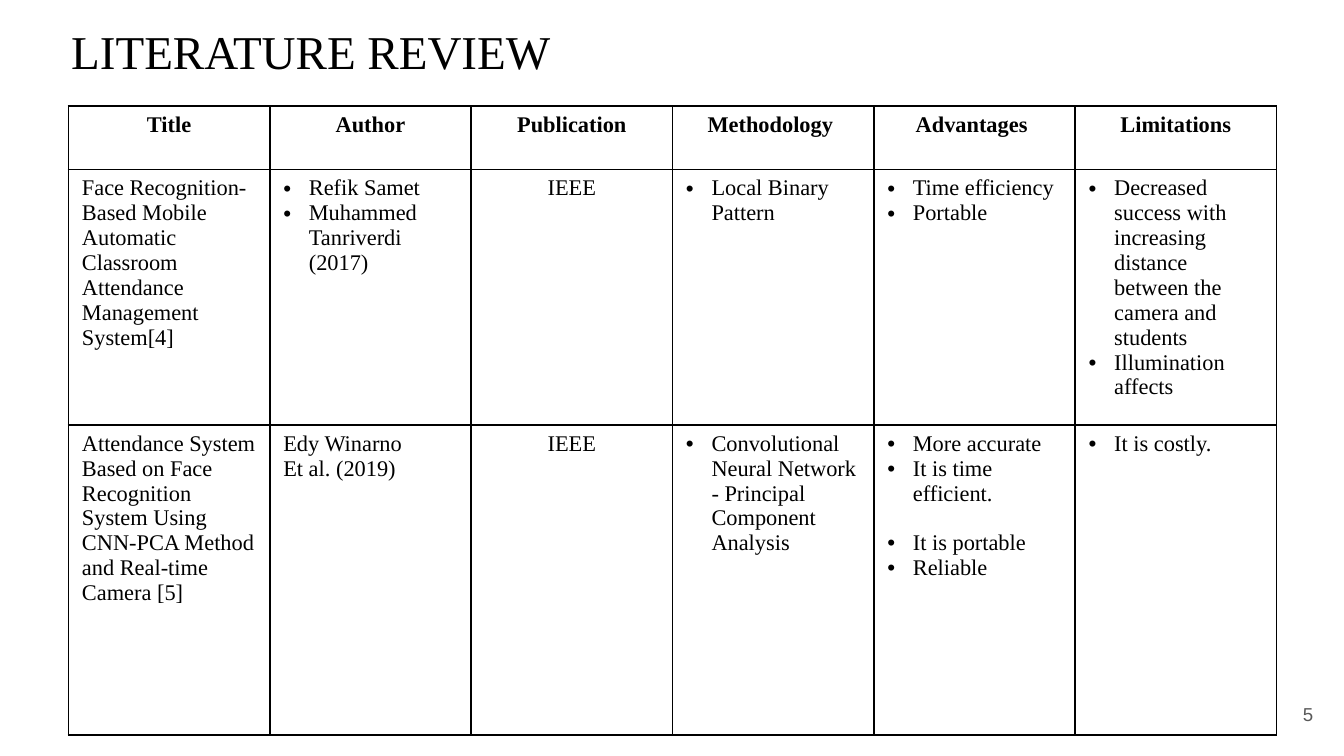
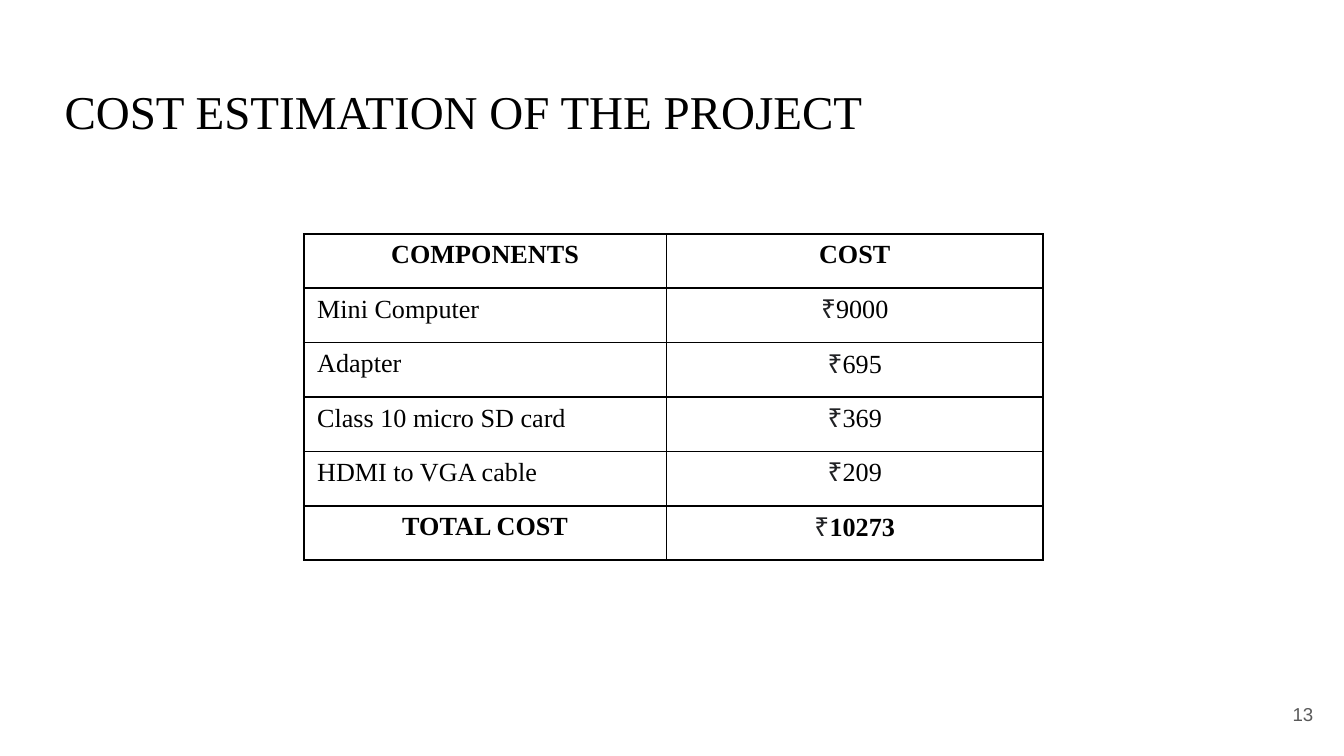
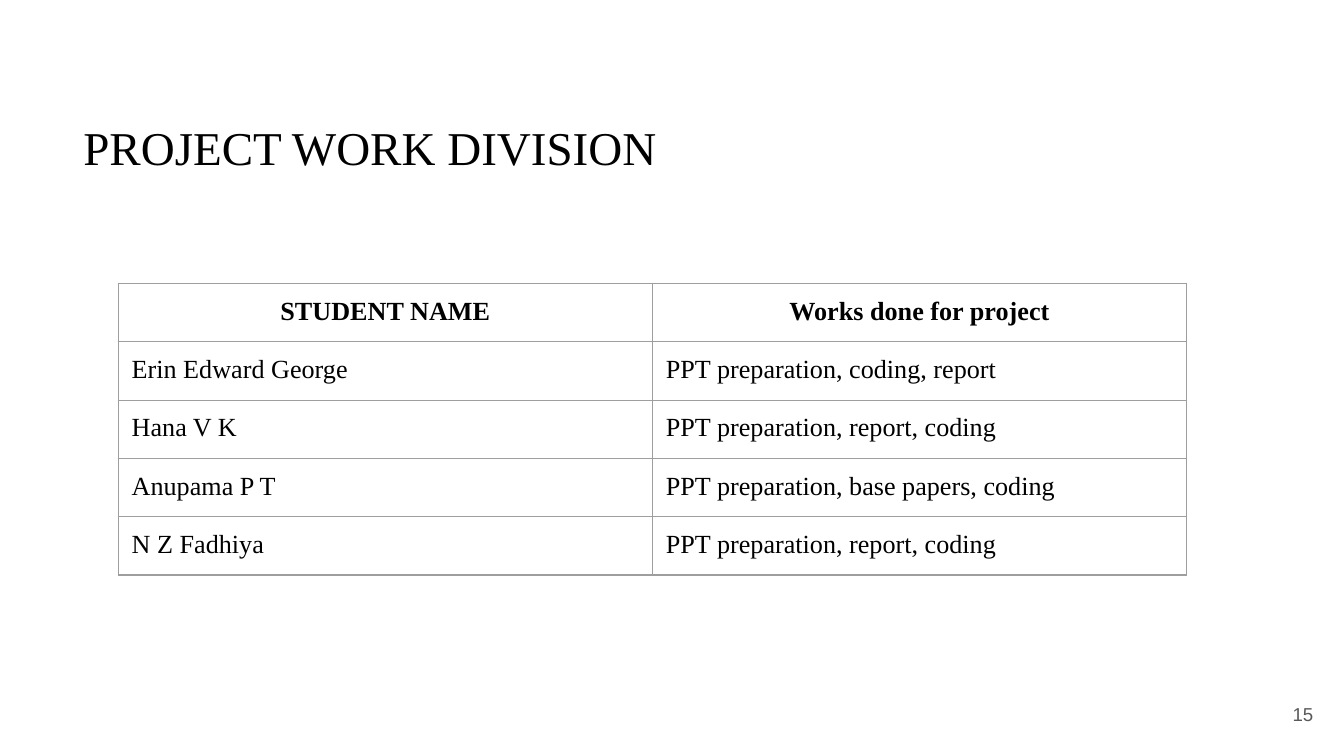
from pptx import Presentation
from pptx.dml.color import RGBColor
from pptx.enum.text import MSO_ANCHOR, PP_ALIGN
from pptx.oxml.ns import qn
from pptx.util import Inches, Pt
from lxml.etree import SubElement

COLORS = {"text": "000000", "rupee": "202124", "number": "595959",
          "grid": "000000", "soft_grid": "9E9E9E"}
SERIF, SANS = "Times New Roman", "Arial"
RUPEE = "\u20b9"
INSET = 0.1
BULLET_INDENT = 0.19

# A cell is a string, a list of plain paragraphs, or a tuple of bullets.
REVIEW = [
    ["Title", "Author", "Publication", "Methodology\u00a0", "Advantages\u00a0",
     "Limitations"],
    ["Face Recognition-Based Mobile Automatic Classroom Attendance Management System[4]",
     ("Refik Samet ", "Muhammed Tanriverdi (2017)"),
     "IEEE",
     ("Local Binary Pattern",),
     ("Time efficiency", "Portable"),
     ("Decreased success with increasing distance between the camera and students",
      "Illumination affects")],
    ["Attendance System Based on Face Recognition System Using CNN-PCA Method "
     "and Real-time Camera [5]",
     ["Edy Winarno ", "Et al. (2019)"],
     "IEEE",
     ("Convolutional Neural Network - Principal Component Analysis",),
     ("More accurate", "It is time efficient.", "It is portable", "Reliable"),
     ("It is costly.",)],
]
SPACED_ITEMS = {"It is portable"}  # bullets set off by one line

COSTS = [
    ["COMPONENTS", "COST"],
    ["Mini Computer", RUPEE + "9000"],
    ["Adapter", RUPEE + "695"],
    ["Class 10 micro SD card", RUPEE + "369"],
    ["HDMI to VGA cable", RUPEE + "209"],
    ["TOTAL COST", RUPEE + "10273"],
]

WORK = [
    ["STUDENT NAME", "Works done for project"],
    ["Erin Edward George", "PPT preparation, coding, report\u00a0"],
    ["Hana V K", "PPT preparation, report, coding"],
    ["Anupama P T", "PPT preparation, base papers, coding"],
    ["N Z Fadhiya", "PPT preparation, report, coding"],
]

SLIDES = [
    {"title": "LITERATURE REVIEW", "title_at": (0.43, 0.06), "number": "5",
     "cells": REVIEW, "at": (0.51, 0.79), "columns": [8.99 / 6] * 6,
     "rows": [0.47, 1.8, 2.31], "size": 12, "centred_columns": {2},
     "strong_rows": {0}, "border": ("grid", 1), "inset_y": 0.05},
    {"title": "COST ESTIMATION OF THE PROJECT", "title_at": (0.38, 0.51), "number": "13",
     "cells": COSTS, "at": (2.26, 1.74), "columns": [2.7, 2.8],
     "rows": [2.43 / 6] * 6, "size": 14, "centred_columns": {1},
     "strong_rows": {0, 5}, "border": ("grid", 1), "inset_y": 0.05},
    {"title": "PROJECT WORK DIVISION", "title_at": (0.52, 0.78), "number": "15",
     "cells": WORK, "at": (0.88, 2.11), "columns": [7.95 / 2] * 2,
     "rows": [0.42] * 5, "size": 14, "centred_columns": set(),
     "strong_rows": {0}, "border": ("soft_grid", 0.75), "inset_y": 0.1},
]


def add_run(paragraph, text, size, font=SERIF, color="text", bold=False):
    """Append one formatted run."""
    run = paragraph.add_run()
    run.text = text
    run.font.size = Pt(size)
    run.font.name = font
    run.font.bold = bold
    run.font.color.rgb = RGBColor.from_string(COLORS[color])


def set_insets(frame):
    """Give a text frame equal insets and wrapping."""
    frame.margin_left = frame.margin_right = Inches(INSET)
    frame.margin_top = frame.margin_bottom = Inches(INSET)
    frame.word_wrap = True


def add_bullet(paragraph):
    """Turn a paragraph into a hanging bullet."""
    properties = paragraph._p.get_or_add_pPr()
    properties.set("marL", str(Inches(BULLET_INDENT)))
    properties.set("indent", str(-Inches(BULLET_INDENT)))
    tint = SubElement(properties, qn("a:buClr"))
    SubElement(tint, qn("a:srgbClr"), val=COLORS["text"])
    SubElement(properties, qn("a:buFont"), typeface=SANS)
    SubElement(properties, qn("a:buChar"), char="\u2022")


def add_borders(cell, color, width):
    """Draw the four edges of a cell."""
    properties = cell._tc.get_or_add_tcPr()
    for edge in ("a:lnL", "a:lnR", "a:lnT", "a:lnB"):
        line = SubElement(properties, qn(edge), w=str(Pt(width)))
        fill = SubElement(line, qn("a:solidFill"))
        SubElement(fill, qn("a:srgbClr"), val=COLORS[color])


def fill_cell(cell, content, size, centred, bold):
    """Write the paragraphs of a cell."""
    items = [content] if isinstance(content, str) else content
    for index, item in enumerate(items):
        frame = cell.text_frame
        paragraph = frame.add_paragraph() if index else frame.paragraphs[0]
        paragraph.alignment = PP_ALIGN.CENTER if centred else PP_ALIGN.LEFT
        if item in SPACED_ITEMS:
            paragraph.space_before = Pt(size * 1.1)
        if isinstance(content, tuple):
            add_bullet(paragraph)
        if item.startswith(RUPEE):
            add_run(paragraph, RUPEE, size, SANS, "rupee")
            item = item[len(RUPEE):]
        add_run(paragraph, item, size, bold=bold)
        # The paragraph mark would otherwise keep 18 points and stretch the row.
        SubElement(paragraph._p, qn("a:endParaRPr"), sz=str(size * 100))


def add_grid(slide, page):
    """Add the table of a page."""
    columns, rows = page["columns"], page["rows"]
    left, top = page["at"]
    table = slide.shapes.add_table(
        len(rows), len(columns), Inches(left), Inches(top),
        Inches(sum(columns)), Inches(sum(rows))).table
    table.first_row = table.horz_banding = False
    for column, width in zip(table.columns, columns):
        column.width = Inches(width)
    for r, (row, height) in enumerate(zip(table.rows, rows)):
        row.height = Inches(height)
        strong = r in page["strong_rows"]
        for c, cell in enumerate(row.cells):
            cell.margin_left = cell.margin_right = Inches(INSET)
            cell.margin_top = cell.margin_bottom = Inches(page["inset_y"])
            add_borders(cell, *page["border"])
            cell.fill.background()
            centred = strong or c in page["centred_columns"]
            fill_cell(cell, page["cells"][r][c], page["size"], centred, strong)


def add_title(slide, text, left, top):
    """Place and format the title placeholder."""
    title = slide.shapes.title
    title.left, title.top = Inches(left), Inches(top)
    title.width, title.height = Inches(9.32), Inches(0.63)
    set_insets(title.text_frame)
    title.text_frame.vertical_anchor = MSO_ANCHOR.MIDDLE
    paragraph = title.text_frame.paragraphs[0]
    paragraph.alignment = PP_ALIGN.LEFT
    add_run(paragraph, text, 25.2)


def add_number(slide, number):
    """Put the page number in the lower right corner."""
    frame = slide.shapes.add_textbox(
        Inches(9.27), Inches(5.1), Inches(0.6), Inches(0.43)).text_frame
    set_insets(frame)
    frame.vertical_anchor = MSO_ANCHOR.MIDDLE
    frame.paragraphs[0].alignment = PP_ALIGN.RIGHT
    add_run(frame.paragraphs[0], number, 10, SANS, "number")


deck = Presentation()
deck.slide_width = Inches(10)
deck.slide_height = Inches(10 * 9 / 16)
title_only = deck.slide_layouts[5]
for page in SLIDES:
    slide = deck.slides.add_slide(title_only)
    add_number(slide, page["number"])
    add_title(slide, page["title"], *page["title_at"])
    add_grid(slide, page)
deck.save("out.pptx")
